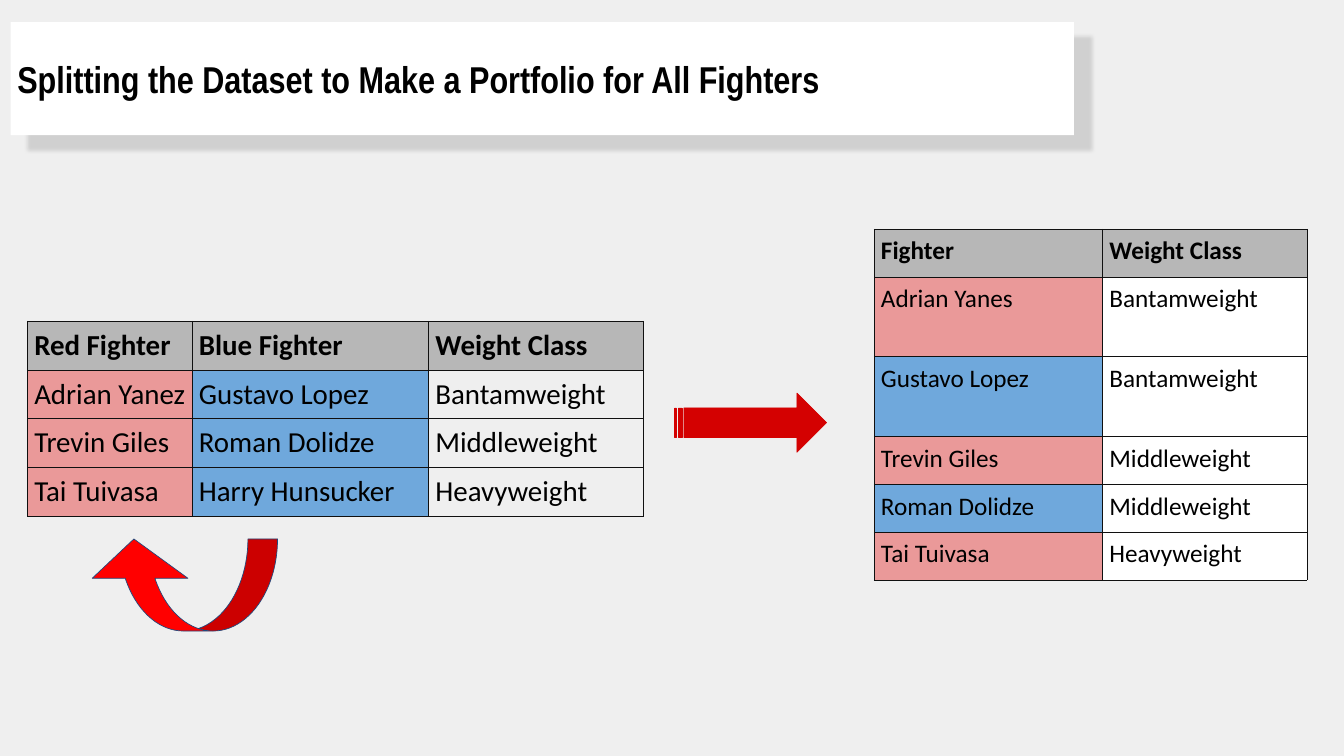
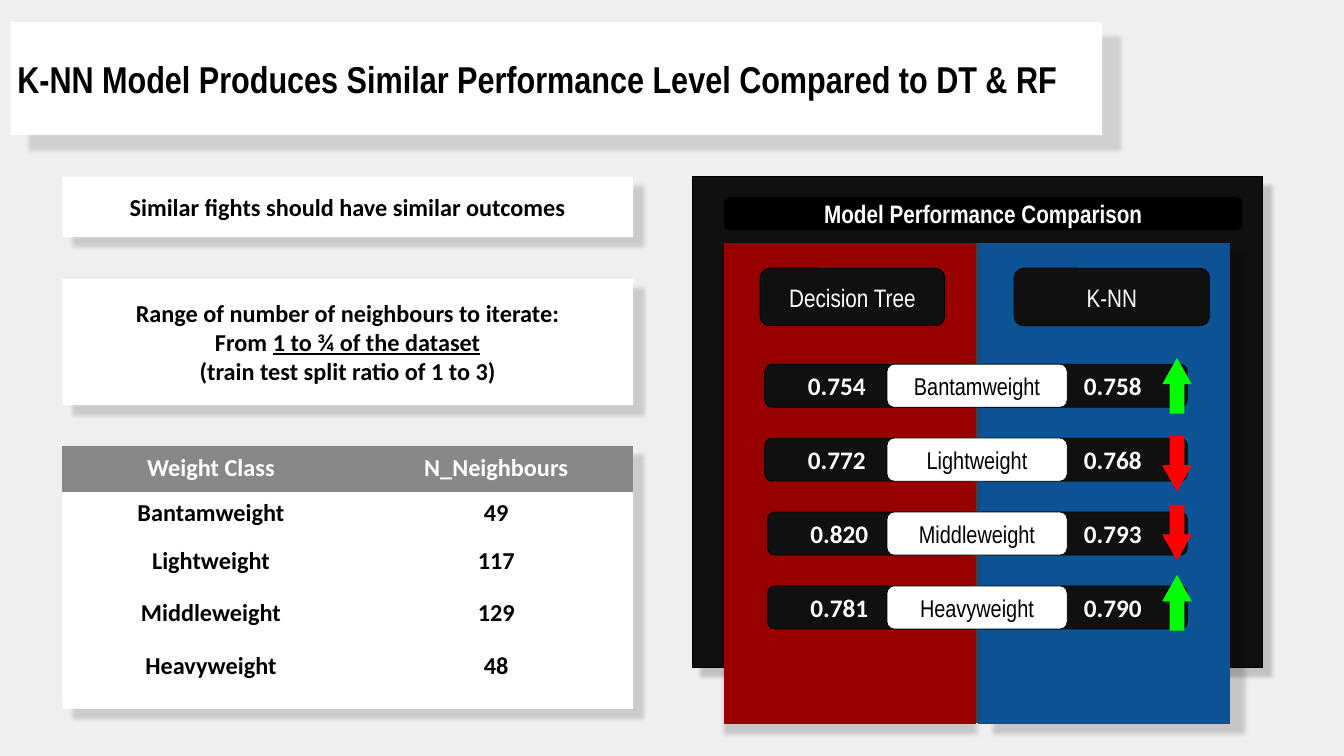
from pptx import Presentation
from pptx.dml.color import RGBColor
from pptx.enum.shapes import MSO_CONNECTOR as Link, MSO_SHAPE as Kind
from pptx.enum.text import MSO_ANCHOR as Anchor, PP_ALIGN as Align
from pptx.oxml.ns import qn
from pptx.util import Inches, Pt
from lxml.etree import SubElement as Sub

tint = RGBColor.from_string
cell = Inches(1)
COLS, ROWS = 20, 11.25
WHITE, BLACK, COAL, GREY = "FFFFFF", "000000", "101010", "B7B7B7"
ROSE, SKY, RED, LIME = "EA9999", "6FA8DC", "FF0000", "00FF00"
NARROW, SANS = "Arial Narrow", "Calibri"
CARD = (15, 15, 40)
HEAD = {"name": NARROW, "size": Pt(40), "bold": True}
LABEL = {"name": NARROW, "size": Pt(27), "bold": False}
SCORE = {"name": SANS, "size": Pt(27), "bold": True}
CLASS = {"name": NARROW, "size": Pt(26), "bold": False}
NOTE = {"name": SANS, "size": Pt(26), "bold": True}


def write(host, frame, text, font, ink, align, left=0.1):
    for side in ("right", "top", "bottom"):
        setattr(host, "margin_" + side, Inches(0.1))
    host.margin_left = Inches(left)
    for num, line in enumerate(text.split("\n")):
        para = frame.add_paragraph() if num else frame.paragraphs[0]
        para.alignment = align
        for part, words in enumerate(line.split("|")):
            run = para.add_run()
            run.text = words
            for key, val in font.items():
                setattr(run.font, key, val)
            run.font.color.rgb = tint(ink)
            if part % 2:
                run.font.underline = True


def box(area, kind, place, fill, line=None, shade=None, adj=(), turn=0,
        text="", font=NOTE, ink=BLACK, align=Align.CENTER, left=0.1):
    form = area.add_shape(kind, *[int(n * cell) for n in place])
    form.shadow.inherit = False
    form.rotation = turn
    form.fill.solid()
    form.fill.fore_color.rgb = tint(fill)
    if line:
        form.line.color.rgb = tint(line)
        form.line.width = Pt(0.75)
    else:
        form.line.fill.background()
    for num, val in enumerate(adj):
        form.adjustments[num] = val
    if shade:
        alpha, dist, angle = shade
        glow = Sub(form._element.spPr.find(qn("a:effectLst")), qn("a:outerShdw"),
                   blurRad=str(Pt(4.5)), dist=str(Pt(dist)), dir=str(angle * 60000),
                   algn="bl", rotWithShape="0")
        Sub(Sub(glow, qn("a:srgbClr"), val=BLACK), qn("a:alpha"), val=str(alpha * 1000))
    if text:
        frame = form.text_frame
        frame.word_wrap = True
        frame.vertical_anchor = Anchor.MIDDLE
        write(frame, frame, text, font, ink, align, left)


deck = Presentation()
deck.slide_width, deck.slide_height = int(COLS * cell), int(ROWS * cell)
pages = []
for title, wide in (
    ("Splitting the Dataset to Make a Portfolio for All Fighters", 15.82),
    ("K-NN Model Produces Similar Performance Level Compared to DT & RF", 16.24),
):
    page = deck.slides.add_slide(deck.slide_layouts[6])
    page.background.fill.solid()
    page.background.fill.fore_color.rgb = tint("EFEFEF")
    box(page.shapes, Kind.RECTANGLE, (0.16, 0.33, wide, 1.68), WHITE, shade=(13, 24, 39),
        text=title, font=HEAD, align=Align.LEFT)
    pages.append(page.shapes)
split, model = pages

box(split, Kind.CURVED_DOWN_ARROW, (1.28, 8.02, 2.85, 1.37), RED, "1F497D",
    adj=(0.322, 1.046, 0.427), turn=180)
box(split, Kind.STRIPED_RIGHT_ARROW, (10.04, 5.85, 2.26, 0.88), "D40101", "D40101",
    adj=(0.5, 0.5))

for top, high, text in (
    (2.63, 0.9, "Similar fights should have similar outcomes"),
    (4.15, 1.88, "Range of number of neighbours to iterate:\n"
                 "From |1 to ¾ of the dataset|\n(train test split ratio of 1 to 3)"),
    (6.64, 3.91, ""),
):
    box(model, Kind.RECTANGLE, (0.93, top, 8.49, high), WHITE, shade=CARD, text=text)

board = model.add_group_shape().shapes
box(board, Kind.RECTANGLE, (10.3, 2.63, 8.49, 7.3), COAL, BLACK, (19, 13.5, 45))
box(board, Kind.RECTANGLE, (14.56, 3.62, 3.74, 7.14), "0B5394", "1F497D", (17, 18.8, 34))
box(board, Kind.RECTANGLE, (10.78, 3.62, 3.74, 7.14), "980000", "980000", (17, 11.2, 91))
seam = board.add_connector(Link.STRAIGHT, *[int(n * cell) for n in (14.54, 3.62, 14.54, 10.76)])
seam.line.color.rgb = tint("434343")
seam.line.width = Pt(2)
Sub(seam._element.spPr, qn("a:effectLst"))

PILL = {"kind": Kind.ROUNDED_RECTANGLE, "line": BLACK, "adj": (0.167,)}
for place, fill, text, font in (
    ((10.78, 2.94, 7.7, 0.48), BLACK, "Model Performance Comparison", {**LABEL, "bold": True}),
    ((11.31, 3.99, 2.75, 0.86), COAL, "Decision Tree", LABEL),
    ((15.09, 3.99, 2.91, 0.86), COAL, "K-NN", LABEL),
):
    box(board, place=place, fill=fill, text=text, font=font, ink=WHITE, **PILL)

for row, (name, tree, near, start) in enumerate((
    ("Bantamweight", "0.754", "0.758", 11.38),
    ("Lightweight", "0.772", "0.768", 11.38),
    ("Middleweight", "0.820", "0.793", 11.42),
    ("Heavyweight", "0.781", "0.790", 11.42),
)):
    top = 5.42 + 1.1 * row
    box(board, place=(start, top, 3.14, 0.64), fill=COAL, text=tree, font=SCORE, ink=WHITE,
        align=Align.LEFT, left=0.61, **PILL)
    box(board, place=(14.53, top, 3.14, 0.64), fill=COAL, text=near, font=SCORE, ink=WHITE,
        left=1.02, **PILL)
    box(board, place=(13.2, top, 2.68, 0.64), fill=WHITE, text=name, font=CLASS, **PILL)
    rise = near > tree
    box(board, Kind.RIGHT_ARROW, (17.1, (5.52, 6.68, 7.71, 8.75)[row], 0.83, 0.44),
        LIME if rise else RED, adj=(0.5, 0.89), turn=270 if rise else 90)

for area, left, top, wide, high, size, edge, align, heads, fills, data in (
    (split, 13.01, 3.41, (3.4, 3.04), (0.71, 1.19, 1.19, 0.71, 0.71, 0.71), 27, COAL, Align.LEFT,
     (GREY, BLACK), ((ROSE, WHITE), (SKY, WHITE)),
     (("Fighter", "Weight Class"), ("Adrian Yanes", "Bantamweight"),
      ("Gustavo Lopez", "Bantamweight"), ("Trevin Giles", "Middleweight"),
      ("Roman Dolidze", "Middleweight"), ("Tai Tuivasa", "Heavyweight"))),
    (split, 0.41, 4.78, (2.45, 3.52, 3.2), (0.72,) * 4, 31, COAL, Align.LEFT,
     (GREY, BLACK), ((ROSE, SKY, None),),
     (("Red Fighter", "Blue Fighter", "Weight Class"),
      ("Adrian Yanez", "Gustavo Lopez", "Bantamweight"),
      ("Trevin Giles", "Roman Dolidze", "Middleweight"),
      ("Tai Tuivasa", "Harry Hunsucker", "Heavyweight"))),
    (model, 0.93, 6.64, (4.42, 4.07), (0.68, 0.71, 0.78, 0.78, 0.78), 26, None, Align.CENTER,
     ("888888", WHITE), ((WHITE, WHITE),),
     (("Weight Class", "N_Neighbours"), ("Bantamweight", "49"), ("Lightweight", "117"),
      ("Middleweight", "129"), ("Heavyweight", "48"))),
):
    place = [int(n * cell) for n in (left, top, sum(wide), sum(high))]
    grid = area.add_table(len(high), len(wide), *place).table
    grid.first_row = grid.horz_banding = False
    grid._tbl.tblPr.find(qn("a:tableStyleId")).text = "{2D5ABB26-0587-4C30-8999-92F81FD0307C}"
    for lane, size_in in zip(grid.columns, wide):
        lane.width = Inches(size_in)
    for row, words in enumerate(data):
        grid.rows[row].height = Inches(high[row])
        for col, text in enumerate(words):
            slot = grid.cell(row, col)
            font = {"name": SANS, "size": Pt(size), "bold": row == 0 or not edge}
            write(slot, slot.text_frame, text, font, BLACK if row else heads[1], align)
            for side in "LRTB" if edge else "":
                rim = Sub(slot._tc.get_or_add_tcPr(), qn("a:ln" + side), w=str(Pt(0.75)))
                Sub(Sub(rim, qn("a:solidFill")), qn("a:srgbClr"), val=edge)
            fill = fills[(row - 1) % len(fills)][col] if row else heads[0]
            if fill:
                slot.fill.solid()
                slot.fill.fore_color.rgb = tint(fill)
            else:
                slot.fill.background()

deck.save("out.pptx")
